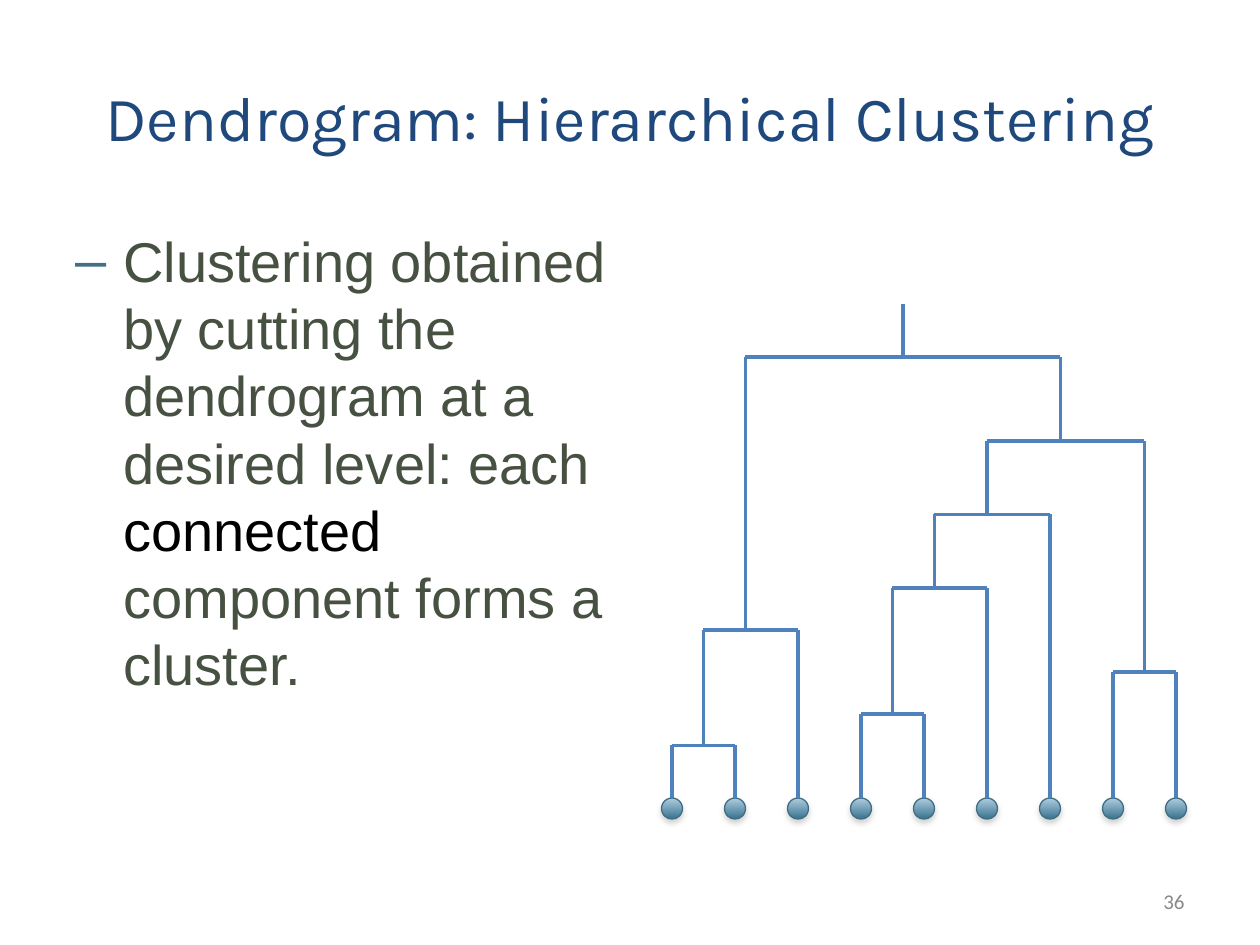
from dataclasses import dataclass

from lxml import etree
from pptx import Presentation
from pptx import util as u
from pptx.dml import color
from pptx.enum import shapes, text
from pptx.oxml import ns, parse_xml


@dataclass(frozen=True)
class Theme:
    title: str = "1F497D"
    body: str = "465142"
    emphasis: str = "000000"
    bullet: str = "437085"
    number: str = "898989"
    branch: str = "4F81BD"
    leaf_line: str = "406E84"
    leaf_top: str = "AFCCDF"
    leaf_bottom: str = "39748F"
    shadow: str = "808080"
    title_size: int = 36
    body_size: int = 32
    number_size: int = 12


THEME = Theme()
WIDTH, HEIGHT = u.Inches(10), u.Inches(7.5)
GRID = u.Inches(1) / 12
FIRST_COLUMN, LEAF_STEP = 64, 6
LEAF_ROW, ROOT_ROW = 76, 29
LEAF_SIZE = 2
LEAF = None
TREE = (34,
        (60, (71, LEAF, LEAF), LEAF),
        (42,
         (49, (56, (68, LEAF, LEAF), LEAF), LEAF),
         (64, LEAF, LEAF)))


def rgb(value):
    return color.RGBColor.from_string(value)


def share(left, top, width, height):
    return (round(left * WIDTH), round(top * HEIGHT),
            round(width * WIDTH), round(height * HEIGHT))


def format_run(run, font, size, ink):
    run.font.name = font
    run.font.size = u.Pt(size)
    run.font.color.rgb = rgb(ink)


def add_title(slide, wording):
    title = slide.shapes.title
    title.left, title.top, title.width, title.height = share(0.05, 0.04, 0.9, 1 / 6)
    frame = title.text_frame
    frame.text = wording
    frame.vertical_anchor = text.MSO_ANCHOR.MIDDLE
    paragraph = frame.paragraphs[0]
    paragraph.alignment = text.PP_ALIGN.CENTER
    format_run(paragraph.runs[0], "Karla", THEME.title_size, THEME.title)


def add_text_box(slide, box, anchor):
    frame = slide.shapes.add_textbox(*box).text_frame
    frame.word_wrap = True
    frame.vertical_anchor = anchor
    return frame.paragraphs[0]


def add_bullet(paragraph, mark, indent):
    properties = paragraph._p.get_or_add_pPr()
    properties.set("marL", str(indent))
    properties.set("indent", str(-indent))
    bullet_color = etree.SubElement(properties, ns.qn("a:buClr"))
    etree.SubElement(bullet_color, ns.qn("a:srgbClr"), val=THEME.bullet)
    etree.SubElement(properties, ns.qn("a:buFont"), typeface="Arial")
    etree.SubElement(properties, ns.qn("a:buChar"), char=mark)


def add_body(slide, pieces):
    paragraph = add_text_box(slide, share(0.05, 0.233, 0.442, 0.66), text.MSO_ANCHOR.TOP)
    paragraph.space_before = u.Pt(6.4)
    add_bullet(paragraph, "–", u.Inches(0.38))
    for wording, ink in pieces:
        run = paragraph.add_run()
        run.text = wording
        format_run(run, "Arial", THEME.body_size, ink)


def add_slide_number(slide, number):
    paragraph = add_text_box(slide, share(0.717, 0.927, 0.233, 0.053), text.MSO_ANCHOR.MIDDLE)
    paragraph.text = number
    paragraph.alignment = text.PP_ALIGN.RIGHT
    format_run(paragraph.runs[0], "Calibri", THEME.number_size, THEME.number)


def add_line(slide, *ends):
    line = slide.shapes.add_connector(
        shapes.MSO_CONNECTOR.STRAIGHT, *(round(end * GRID) for end in ends))
    line.line.color.rgb = rgb(THEME.branch)
    line.line.width = u.Pt(2)
    etree.SubElement(line._element.spPr, ns.qn("a:effectLst"))


def add_shadow(shape):
    shape._element.spPr.append(parse_xml(
        f'<a:effectLst {ns.nsdecls("a")}>'
        f'<a:outerShdw blurRad="{u.Pt(3.1)}" dist="{u.Pt(1.8)}" dir="5400000" rotWithShape="0">'
        f'<a:srgbClr val="{THEME.shadow}"><a:alpha val="35000"/></a:srgbClr>'
        '</a:outerShdw></a:effectLst>'))


def add_leaf(slide, column):
    leaf = slide.shapes.add_shape(
        shapes.MSO_SHAPE.OVAL, round((column - LEAF_SIZE / 2) * GRID),
        round(LEAF_ROW * GRID), round(LEAF_SIZE * GRID), round(LEAF_SIZE * GRID))
    leaf.fill.gradient()
    leaf.fill.gradient_angle = 270
    stops = zip(leaf.fill.gradient_stops, (0, 1), (THEME.leaf_top, THEME.leaf_bottom))
    for stop, position, ink in stops:
        stop.position = position
        stop.color.rgb = rgb(ink)
    leaf.line.color.rgb = rgb(THEME.leaf_line)
    leaf.line.width = u.Pt(0.75)
    add_shadow(leaf)


def add_branch(slide, node, parent_row, leaf_columns):
    if node is LEAF:
        column, row = next(leaf_columns), LEAF_ROW
        add_leaf(slide, column)
    else:
        row, *children = node
        left, right = [add_branch(slide, child, row, leaf_columns) for child in children]
        add_line(slide, left, row, right, row)
        column = (left + right) // 2
    add_line(slide, column, parent_row, column, row)
    return column


def main():
    presentation = Presentation()
    presentation.slide_width, presentation.slide_height = WIDTH, HEIGHT
    slide = presentation.slides.add_slide(presentation.slide_layouts[5])
    add_title(slide, "Dendrogram: Hierarchical Clustering")
    add_slide_number(slide, "36")
    leaf_columns = iter(range(FIRST_COLUMN, FIRST_COLUMN + 9 * LEAF_STEP, LEAF_STEP))
    add_branch(slide, TREE, ROOT_ROW, leaf_columns)
    add_body(slide, [
        ("Clustering obtained by cutting the dendrogram at a desired level: each ", THEME.body),
        ("connected", THEME.emphasis),
        (" component forms a cluster.", THEME.body),
    ])
    presentation.save("out.pptx")


main()
